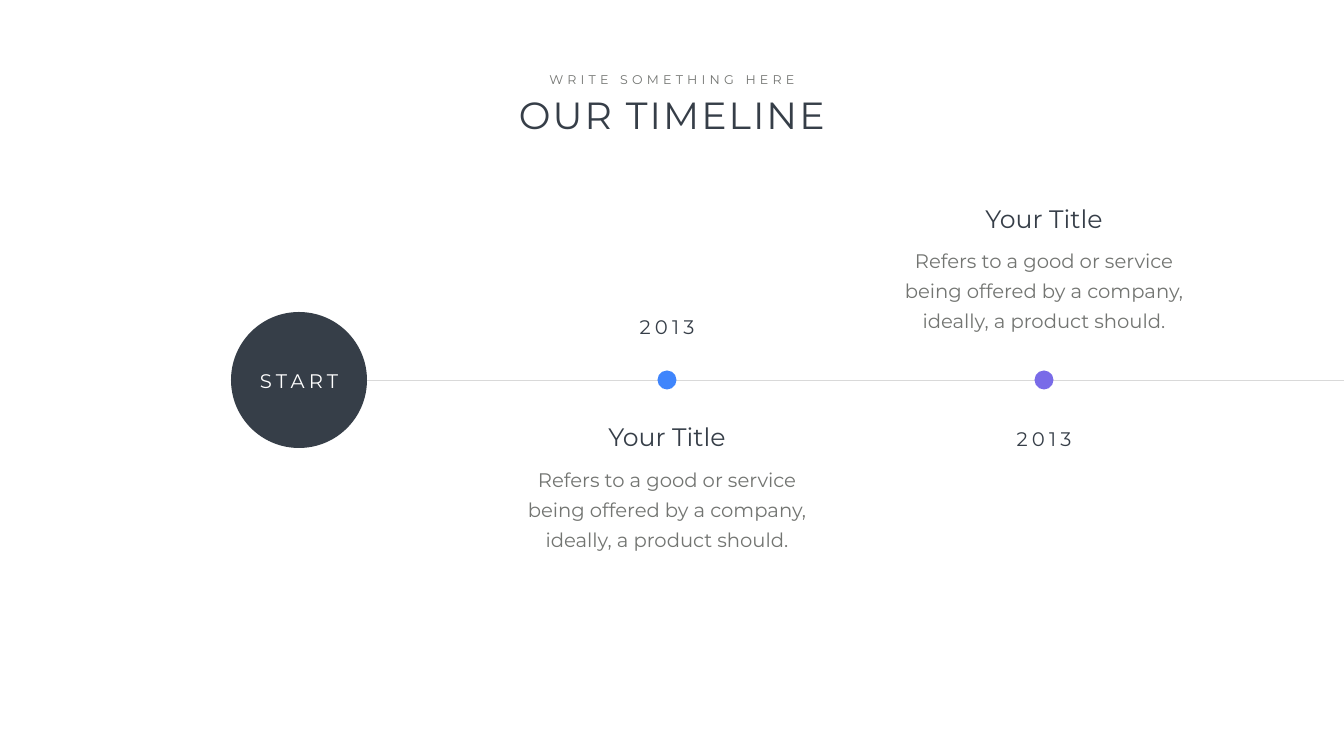
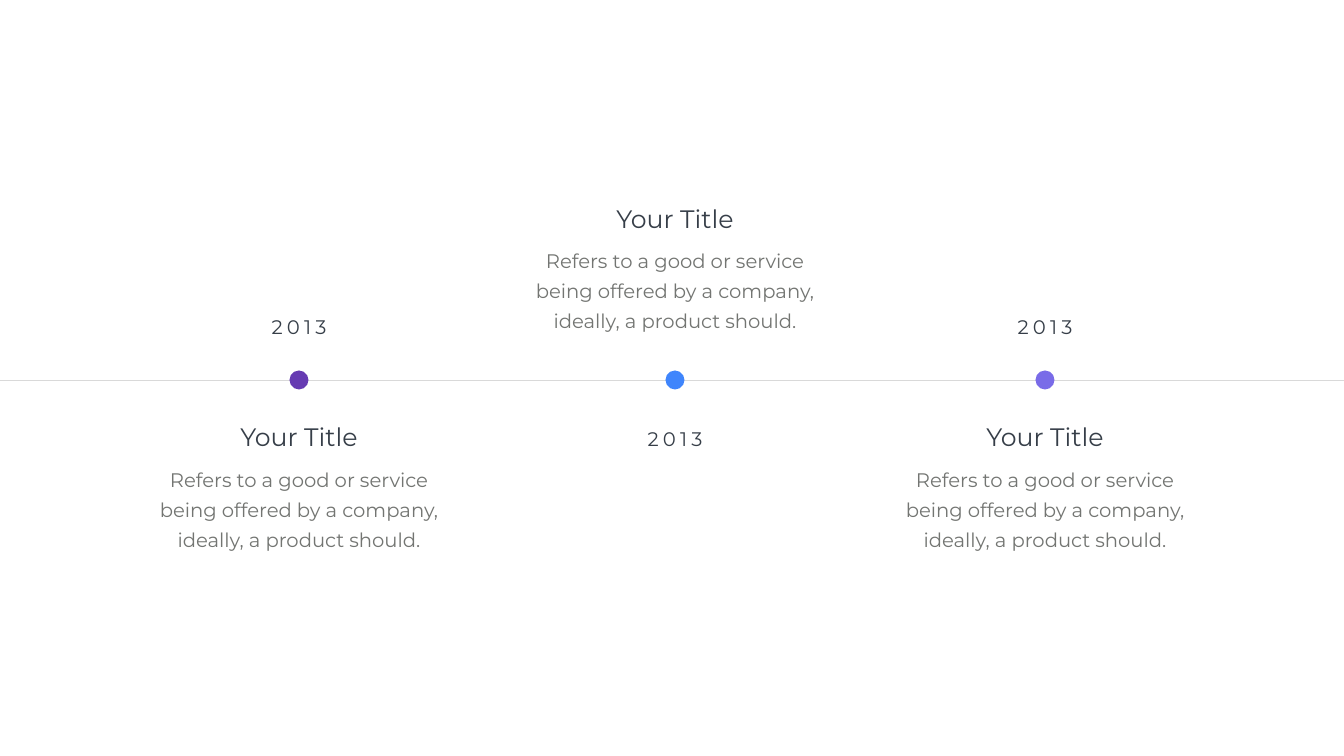
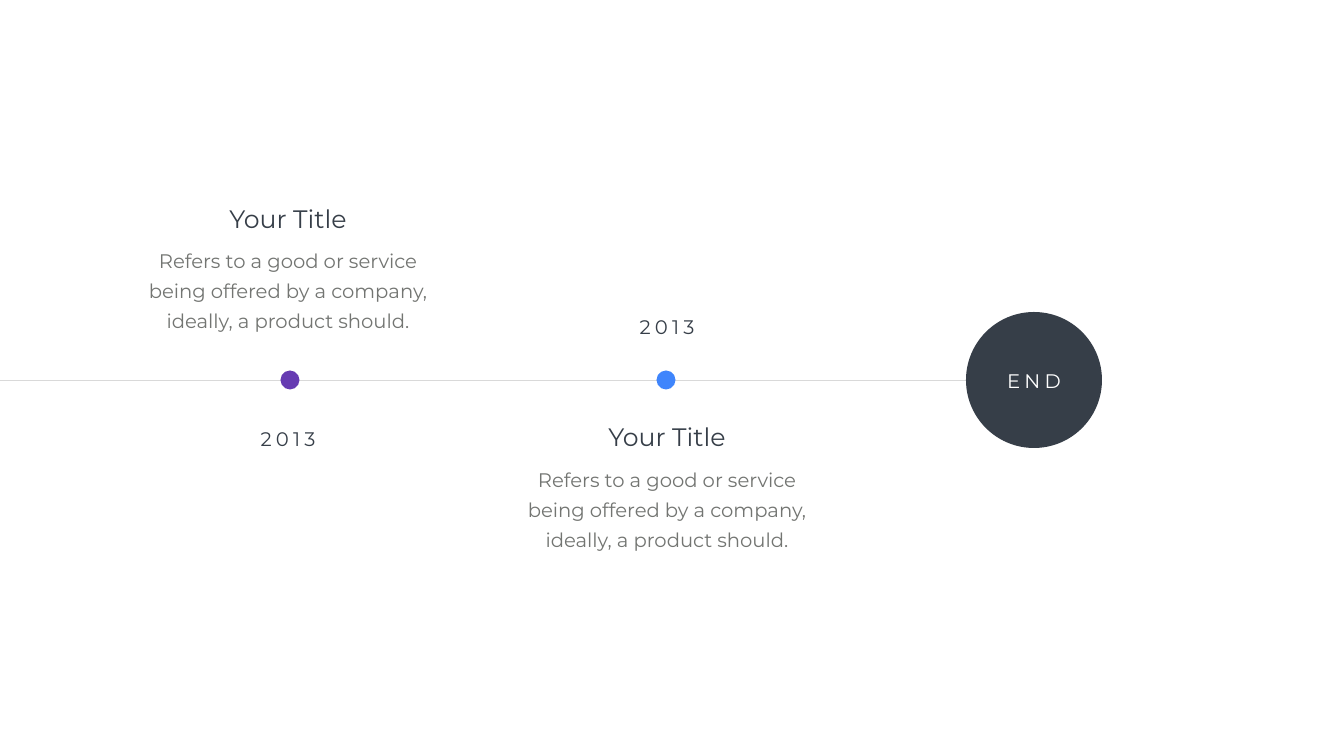
from pptx import Presentation
from pptx.dml.color import RGBColor
from pptx.enum.shapes import MSO_CONNECTOR, MSO_SHAPE
from pptx.enum.text import MSO_ANCHOR, MSO_AUTO_SIZE, PP_ALIGN
from pptx.util import Pt
from lxml import etree

PX = 914400 / 50.4
WIDTH, HEIGHT = 1344, 756
AXIS_Y = 380
DOT, BADGE = 19, 136
FONT = "Montserrat"
DARK, GREY, RULE, WHITE = "363E48", "737572", "D9D9D9", "FFFFFF"
BLUE, VIOLET, PURPLE = "3F85FC", "796BE8", "663BB2"
DESCRIPTION = ("Refers to a good or service being offered by a company, "
               "ideally, a product should.")

# Tops of the heading, description and year on either side of the axis
TOPS = {"above": (201, 236, 424), "below": (419, 455, 312)}

# Line ends, badge (label, centre), milestones (dot centre, text centre, colour, side)
SLIDES = [
    ((299, WIDTH), ("START", 299),
     [(667, 667, BLUE, "below"), (1044, 1044, VIOLET, "above")]),
    ((0, WIDTH), None,
     [(299, 299, PURPLE, "below"), (675, 675, BLUE, "above"),
      (1045, 1045, VIOLET, "below")]),
    ((0, 1034), ("END", 1034),
     [(290, 288, PURPLE, "above"), (666, 667, BLUE, "below")]),
]


def write_text(box, text, centre, top, width, height, size, colour, spacing=0):
    """Place a box around a horizontal centre and fill it with one centred line style."""
    box.left, box.top = round((centre - width / 2) * PX), round(top * PX)
    box.width, box.height = round(width * PX), round(height * PX)
    frame = box.text_frame
    frame.text = text
    frame.word_wrap = True
    frame.auto_size = MSO_AUTO_SIZE.SHAPE_TO_FIT_TEXT
    frame.vertical_anchor = MSO_ANCHOR.TOP
    para = frame.paragraphs[0]
    para.alignment = PP_ALIGN.CENTER
    span = para.runs[0]
    span.font.name = FONT
    span.font.size = Pt(size)
    span.font.color.rgb = RGBColor.from_string(colour)
    if spacing:
        span._r.get_or_add_rPr().set("spc", str(spacing * 100))
    return frame


def add_circle(page, centre, diameter, colour):
    """Add a filled circle centred on the axis."""
    circle = page.shapes.add_shape(
        MSO_SHAPE.OVAL, round((centre - diameter / 2) * PX),
        round((AXIS_Y - diameter / 2) * PX), round(diameter * PX), round(diameter * PX))
    circle.shadow.inherit = False
    circle.fill.solid()
    circle.fill.fore_color.rgb = RGBColor.from_string(colour)
    circle.line.fill.background()


deck = Presentation()
deck.slide_width, deck.slide_height = round(WIDTH * PX), round(HEIGHT * PX)
background = deck.slide_master.background.fill
background.solid()
background.fore_color.rgb = RGBColor.from_string(WHITE)
title_only, blank = deck.slide_layouts[5], deck.slide_layouts[6]

for number, (ends, badge, milestones) in enumerate(SLIDES):
    page = deck.slides.add_slide(blank if number else title_only)
    if number == 0:
        write_text(page.shapes.title, "OUR TIMELINE", 672, 89, 374, 51, 54, DARK, 3)
        caption = write_text(page.shapes.add_textbox(0, 0, 0, 0), "WRITE SOMETHING HERE",
                             672, 69, 261, 20, 18, GREY, 6)
        caption.word_wrap = False

    start, end = ends
    axis = page.shapes.add_connector(
        MSO_CONNECTOR.STRAIGHT, round(start * PX), round(AXIS_Y * PX),
        round(end * PX), round(AXIS_Y * PX))
    axis.line.width = Pt(0.5)
    axis.line.color.rgb = RGBColor.from_string(RULE)
    etree.SubElement(axis._element.spPr,
                     "{http://schemas.openxmlformats.org/drawingml/2006/main}effectLst")

    if badge:
        label, centre = badge
        add_circle(page, centre, BADGE, DARK)
        write_text(page.shapes.add_textbox(0, 0, 0, 0), label,
                   centre, 366, 105, 29, 28, WHITE, 6)

    for dot_centre, centre, colour, side in milestones:
        heading_top, description_top, year_top = TOPS[side]
        add_circle(page, dot_centre, DOT, colour)
        description = write_text(page.shapes.add_textbox(0, 0, 0, 0), DESCRIPTION,
                                 centre, description_top, 307, 101, 28, GREY)
        description.margin_left = description.margin_right = round(12 * PX)
        description.margin_top = description.margin_bottom = round(6 * PX)
        description.paragraphs[0].line_spacing = Pt(43)
        write_text(page.shapes.add_textbox(0, 0, 0, 0), "Your Title",
                   centre, heading_top, 242, 36, 36, DARK)
        write_text(page.shapes.add_textbox(0, 0, 0, 0), "2013",
                   centre, year_top, 105, 29, 28, DARK, 6)

deck.save("out.pptx")
